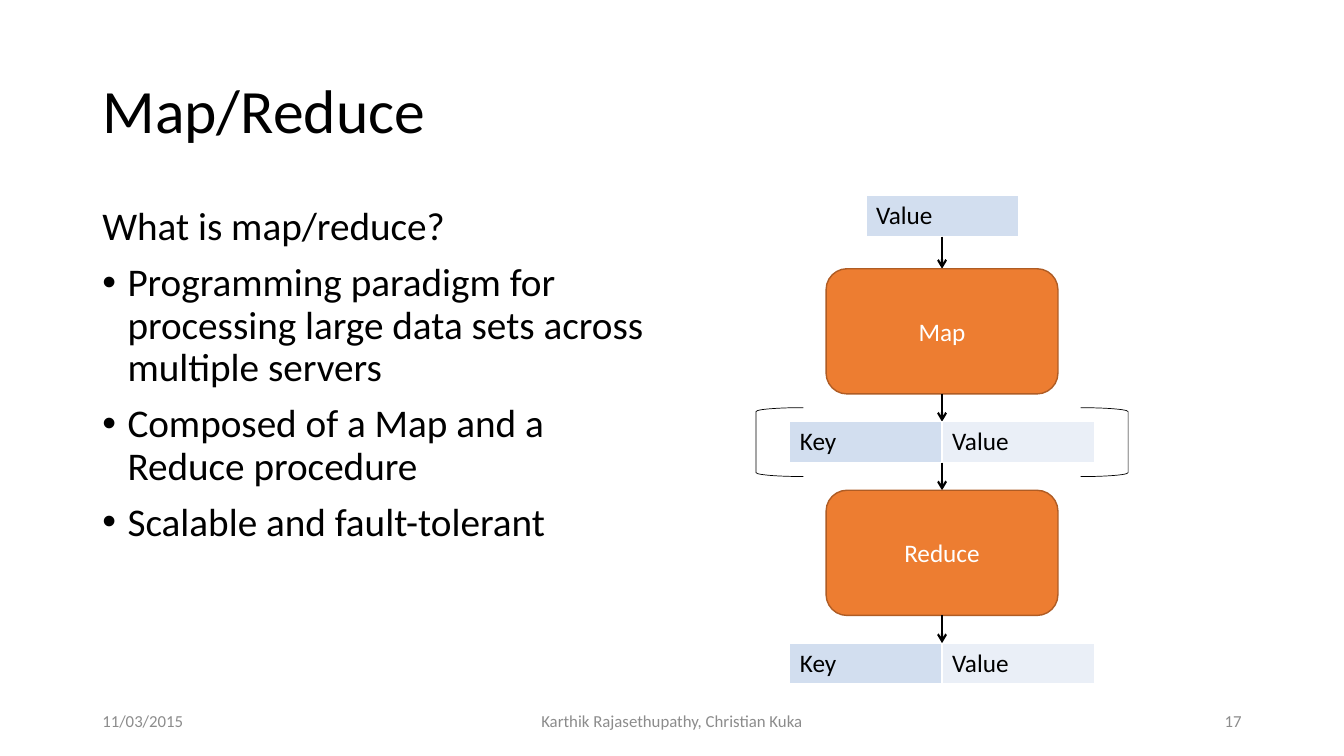
from dataclasses import dataclass

from lxml import etree
from pptx import Presentation, util as u
from pptx.dml.color import RGBColor
from pptx.enum import shapes, text
from pptx.oxml import ns

COLORS = {
    "ink": "000000", "muted": "8C8C8C", "paper": "FFFFFF",
    "step": "ED7D31", "step_edge": "AF5C24",
    "key": "D2DEEF", "value": "EAEFF7",
}
FONT = "Calibri"
COLUMNS, ROWS = 160, 90
UNIT = u.Inches(13.333) / COLUMNS  # square grid cell

# Diagram sizes in grid units
CELL_WIDTH, CELL_HEIGHT = 18.12, 4.87
STEP_WIDTH, STEP_HEIGHT = 27.6, 14.9
BRACKET_WIDTH, BRACKET_HEIGHT = 5.64, 8.2
FIRST_GAP, GAP = 3.83, 3.3


@dataclass
class Box:
    """A rectangle measured in grid columns and rows."""
    left: float
    top: float
    width: float
    height: float

    @property
    def center(self):
        return self.left + self.width / 2

    @property
    def bottom(self):
        return self.top + self.height

    def emu(self):
        """Return left, top, width and height as slide lengths."""
        return [grid(n) for n in (self.left, self.top, self.width, self.height)]


def grid(count):
    """Turn grid units into a slide length."""
    return u.Emu(round(count * UNIT))


def color(name):
    """Look up a colour by its role."""
    return RGBColor.from_string(COLORS[name])


def write(frame, lines, size=18, ink="ink", align=text.PP_ALIGN.LEFT,
          anchor=None, spacing=None, before=None):
    """Fill a text frame with formatted paragraphs and return them."""
    frame.word_wrap = True
    if anchor is not None:
        frame.vertical_anchor = anchor
    frame.text = "\n".join(lines)
    for para in frame.paragraphs:
        para.alignment = align
        para.line_spacing = spacing
        para.space_before = before
        for span in para.runs:
            span.font.name = FONT
            span.font.size = u.Pt(size)
            span.font.color.rgb = color(ink)
    return frame.paragraphs


def add_title(page, box, wording):
    """Move and format the title placeholder."""
    title = page.shapes.title
    title.left, title.top, title.width, title.height = box.emu()
    write(title.text_frame, [wording], size=44, spacing=0.9,
          anchor=text.MSO_ANCHOR.MIDDLE)


def add_body(page, box, question, points):
    """Place the question with its bulleted answers."""
    frame = page.shapes.add_textbox(*box.emu()).text_frame
    paras = write(frame, [question, *points], size=28, spacing=0.9,
                  before=u.Pt(10))
    for para in paras[1:]:
        props = para._p.get_or_add_pPr()
        props.set("marL", str(u.Inches(0.25)))
        props.set("indent", str(-u.Inches(0.25)))
        etree.SubElement(props, ns.qn("a:buFont"), typeface="Arial")
        etree.SubElement(props, ns.qn("a:buChar"), char="\u2022")


def add_footer(page, box, date, authors, number):
    """Place date, authors and page number along one row."""
    side, middle = 36, 54
    parts = [
        (date, box.left, side, text.PP_ALIGN.LEFT),
        (authors, box.center - middle / 2, middle, text.PP_ALIGN.CENTER),
        (number, box.left + box.width - side, side, text.PP_ALIGN.RIGHT),
    ]
    for wording, left, width, align in parts:
        part = Box(left, box.top, width, box.height)
        frame = page.shapes.add_textbox(*part.emu()).text_frame
        write(frame, [wording], size=12, ink="muted", align=align,
              anchor=text.MSO_ANCHOR.MIDDLE)


def add_record(page, box, fields):
    """Draw a one-row table with a white border round each cell."""
    frame = page.shapes.add_table(1, len(fields), *box.emu())
    table = frame.table
    table.first_row = table.horz_banding = False
    for index, (field, fill) in enumerate(zip(fields, ("key", "value"))):
        cell = table.cell(0, index)
        props = cell._tc.get_or_add_tcPr()
        for side in ("lnL", "lnR", "lnT", "lnB"):
            edge = etree.SubElement(props, ns.qn(f"a:{side}"), w=str(u.Pt(1)))
            paint = etree.SubElement(edge, ns.qn("a:solidFill"))
            etree.SubElement(paint, ns.qn("a:srgbClr"), val=COLORS["paper"])
        cell.fill.solid()
        cell.fill.fore_color.rgb = color(fill)
        write(cell.text_frame, [field])


def add_step(page, box, name):
    """Draw a rounded processing step."""
    step = page.shapes.add_shape(shapes.MSO_SHAPE.ROUNDED_RECTANGLE, *box.emu())
    step.shadow.inherit = False
    step.fill.solid()
    step.fill.fore_color.rgb = color("step")
    step.line.color.rgb = color("step_edge")
    step.line.width = u.Pt(1)
    write(step.text_frame, [name], ink="paper", align=text.PP_ALIGN.CENTER,
          anchor=text.MSO_ANCHOR.MIDDLE)


def add_arrow(page, x, top, bottom):
    """Draw a downward arrow."""
    arrow = page.shapes.add_connector(
        shapes.MSO_CONNECTOR.STRAIGHT, grid(x), grid(top), grid(x), grid(bottom))
    arrow.line.color.rgb = color("ink")
    arrow.line.width = u.Pt(1.5)
    etree.SubElement(arrow.line._get_or_add_ln(), ns.qn("a:tailEnd"), type="arrow")
    etree.SubElement(arrow._element.spPr, ns.qn("a:effectLst"))


def add_brackets(page, box):
    """Draw a bracket at each end of the box."""
    for left, turn in ((box.left, 0), (box.left + box.width - BRACKET_WIDTH, 180)):
        part = Box(left, box.top, BRACKET_WIDTH, box.height)
        bracket = page.shapes.add_shape(shapes.MSO_SHAPE.LEFT_BRACKET, *part.emu())
        bracket.rotation = turn
        bracket.shadow.inherit = False
        bracket.fill.background()
        bracket.line.color.rgb = color("ink")
        bracket.line.width = u.Pt(0.5)


def add_flow(page, box):
    """Stack records and steps from the top of the box, joined by arrows."""
    pair = ("Key", "Value")
    stages = [("Value",), "Map", pair, "Reduce", pair]
    top = box.top
    for index, stage in enumerate(stages):
        is_step = isinstance(stage, str)
        width = STEP_WIDTH if is_step else CELL_WIDTH * len(stage)
        height = STEP_HEIGHT if is_step else CELL_HEIGHT
        part = Box(box.center - width / 2, top, width, height)
        (add_step if is_step else add_record)(page, part, stage)
        if index == 2:
            middle = part.top + part.height / 2
            add_brackets(page, Box(box.left, middle - BRACKET_HEIGHT / 2,
                                   box.width, BRACKET_HEIGHT))
        if index < len(stages) - 1:
            top = part.bottom + (GAP if index else FIRST_GAP)
            add_arrow(page, box.center, part.bottom, top)


def add_map_reduce_page(deck):
    """Build the Map/Reduce slide."""
    page = deck.slides.add_slide(deck.slide_layouts[5])
    add_title(page, Box(11, 4.8, 138, 17.4), "Map/Reduce")
    add_body(page, Box(11, 24, 68, 57.1), "What is map/reduce?", [
        "Programming paradigm for processing large data sets across multiple servers",
        "Composed of a Map and a Reduce procedure",
        "Scalable and fault-tolerant",
    ])
    add_flow(page, Box(90, 23.3, 44.3, 58.2))
    add_footer(page, Box(11, 83.4, 138, 4.8), "11/03/2015",
               "Karthik Rajasethupathy, Christian Kuka", "17")


deck = Presentation()
deck.slide_width, deck.slide_height = grid(COLUMNS), grid(ROWS)
add_map_reduce_page(deck)
deck.save("out.pptx")
